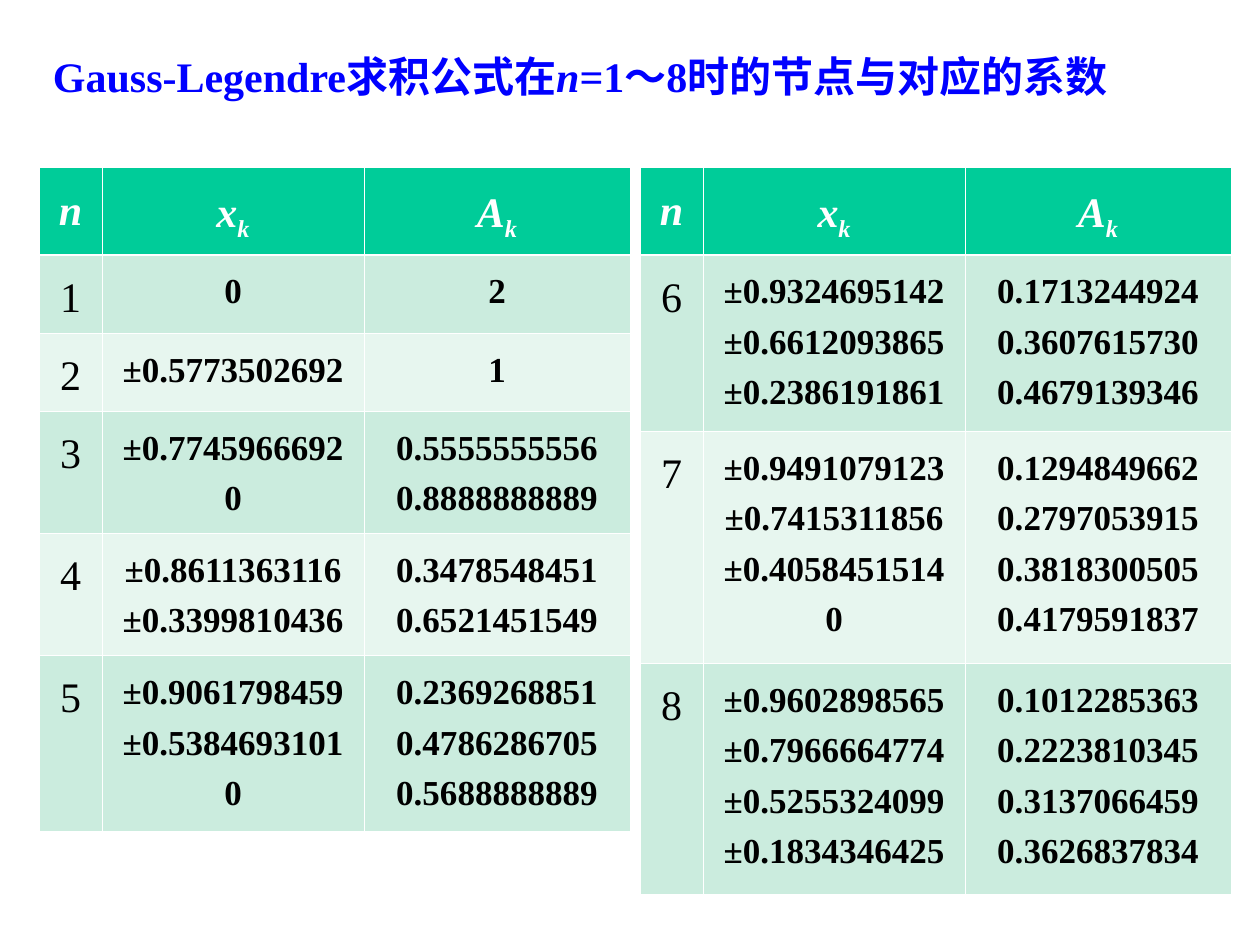
from lxml import etree
from pptx import Presentation
from pptx import util as u
from pptx.dml.color import RGBColor
from pptx.enum import text
from pptx.oxml import ns

THEME = {
    "font": "Times New Roman",
    "title": "0000FF", "heading": "FFFFFF", "body": "000000",
    "header_fill": "00CC99", "bands": ("CBECDE", "E7F6EF"),
    "border": "FFFFFF", "thin": 0.45, "thick": 1.47,
    "large": u.Pt(24), "small": u.Pt(20), "line_spacing": 1.3,
}

presentation = Presentation()
presentation.slide_width, presentation.slide_height = u.Inches(10), u.Inches(7.5)
unit = presentation.slide_width / 100  # square grid, 100 columns by 75 rows

# Grid positions, in units
TABLE_LEFTS, TABLE_TOP = (3.1, 50.8), 13.3
COLUMN_WIDTHS = (5, 20.8, 21.1)
HEADER_HEIGHT = 6.9
HEIGHT_BY_LINES = {1: 6.2, 2: 9.7, 3: 14, 4: 18.4}

# Nodes and coefficients for each n
NODES = {
    1: (["0"], ["2"]),
    2: (["±0.5773502692"], ["1"]),
    3: (["±0.7745966692", "0"], ["0.5555555556", "0.8888888889"]),
    4: (["±0.8611363116", "±0.3399810436"], ["0.3478548451", "0.6521451549"]),
    5: (["±0.9061798459", "±0.5384693101", "0"],
        ["0.2369268851", "0.4786286705", "0.5688888889"]),
    6: (["±0.9324695142", "±0.6612093865", "±0.2386191861"],
        ["0.1713244924", "0.3607615730", "0.4679139346"]),
    7: (["±0.9491079123", "±0.7415311856", "±0.4058451514", "0"],
        ["0.1294849662", "0.2797053915", "0.3818300505", "0.4179591837"]),
    8: (["±0.9602898565", "±0.7966664774", "±0.5255324099", "±0.1834346425"],
        ["0.1012285363", "0.2223810345", "0.3137066459", "0.3626837834"]),
}
TABLE_RANGES = (range(1, 6), range(6, 9))
HEADINGS = (("n", ""), ("x", "k"), ("A", "k"))


def add_run(paragraph, content, color, **font_format):
    run = paragraph.add_run()
    run.text = content
    run.font.color.rgb = RGBColor.from_string(color)
    for name, value in {"name": THEME["font"], **font_format}.items():
        setattr(run.font, name, value)
    return run


def style_cell(cell, fill, top, bottom):
    properties = cell._tc.get_or_add_tcPr()
    widths = {"lnL": THEME["thin"], "lnR": THEME["thin"], "lnT": top, "lnB": bottom}
    for side, width in widths.items():
        line = etree.SubElement(properties, ns.qn(f"a:{side}"), w=str(u.Pt(width)))
        solid = etree.SubElement(line, ns.qn("a:solidFill"))
        etree.SubElement(solid, ns.qn("a:srgbClr"), val=THEME["border"])
    cell.fill.solid()
    cell.fill.fore_color.rgb = RGBColor.from_string(fill)
    for paragraph in cell.text_frame.paragraphs:
        paragraph.alignment = text.PP_ALIGN.CENTER
        paragraph.line_spacing = THEME["line_spacing"]


# Title
slide = presentation.slides.add_slide(presentation.slide_layouts[5])
title = slide.shapes.title
title_place = {"left": 3.2, "top": 3.5, "width": 89.7, "height": 5}
for name, value in title_place.items():
    setattr(title, name, round(value * unit))
frame_format = {"word_wrap": False, "vertical_anchor": text.MSO_ANCHOR.TOP,
                "auto_size": text.MSO_AUTO_SIZE.SHAPE_TO_FIT_TEXT}
for name, value in frame_format.items():
    setattr(title.text_frame, name, value)
title_paragraph = title.text_frame.paragraphs[0]
title_paragraph.alignment = text.PP_ALIGN.LEFT
for content, italic in (("Gauss-Legendre求积公式在", False), ("n", True),
                        ("=1～8时的节点与对应的系数", False)):
    add_run(title_paragraph, content, THEME["title"],
            size=THEME["large"], bold=True, italic=italic)

# Two tables side by side
for left, orders in zip(TABLE_LEFTS, TABLE_RANGES):
    heights = [HEADER_HEIGHT] + [HEIGHT_BY_LINES[len(NODES[n][0])] for n in orders]
    place = (left, TABLE_TOP, sum(COLUMN_WIDTHS), sum(heights))
    table = slide.shapes.add_table(len(heights), len(COLUMN_WIDTHS),
                                   *(round(value * unit) for value in place)).table
    for column, width in zip(table.columns, COLUMN_WIDTHS):
        column.width = round(width * unit)
    for row, height in zip(table.rows, heights):
        row.height = round(height * unit)

    # Header row
    for cell, (symbol, subscript) in zip(table.rows[0].cells, HEADINGS):
        paragraph = cell.text_frame.paragraphs[0]
        heading_format = {"size": THEME["large"], "bold": True, "italic": True}
        add_run(paragraph, symbol, THEME["heading"], **heading_format)
        if subscript:
            run = add_run(paragraph, subscript, THEME["heading"], **heading_format)
            run._r.get_or_add_rPr().set("baseline", "-25000")
        style_cell(cell, THEME["header_fill"], THEME["thin"], THEME["thick"])

    # Value rows
    for index, n in enumerate(orders):
        top = THEME["thin"] if index else THEME["thick"]
        row_cells = table.rows[index + 1].cells
        for column, (cell, lines) in enumerate(zip(row_cells, ([str(n)], *NODES[n]))):
            frame = cell.text_frame
            for number, content in enumerate(lines):
                paragraph = frame.add_paragraph() if number else frame.paragraphs[0]
                add_run(paragraph, content, THEME["body"], bold=column > 0,
                        size=THEME["small" if column else "large"])
            style_cell(cell, THEME["bands"][index % 2], top, THEME["thin"])

presentation.save("out.pptx")
